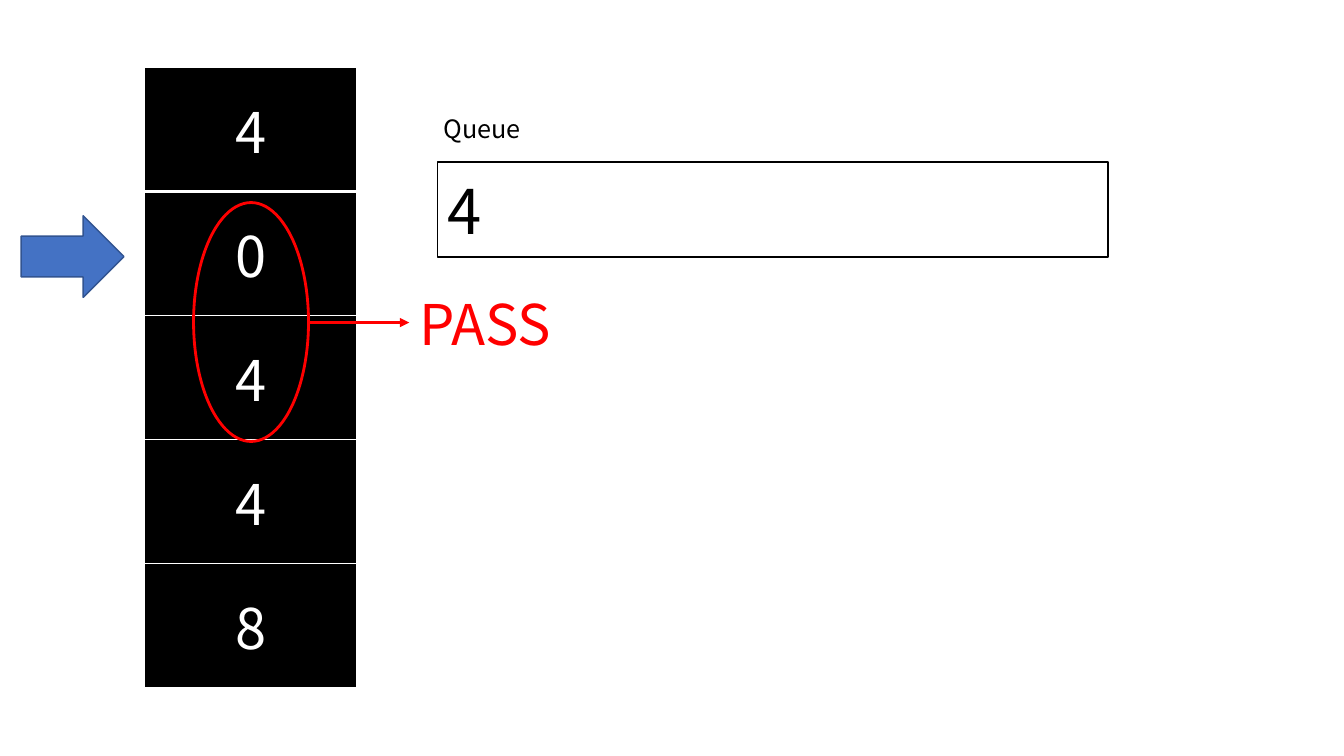
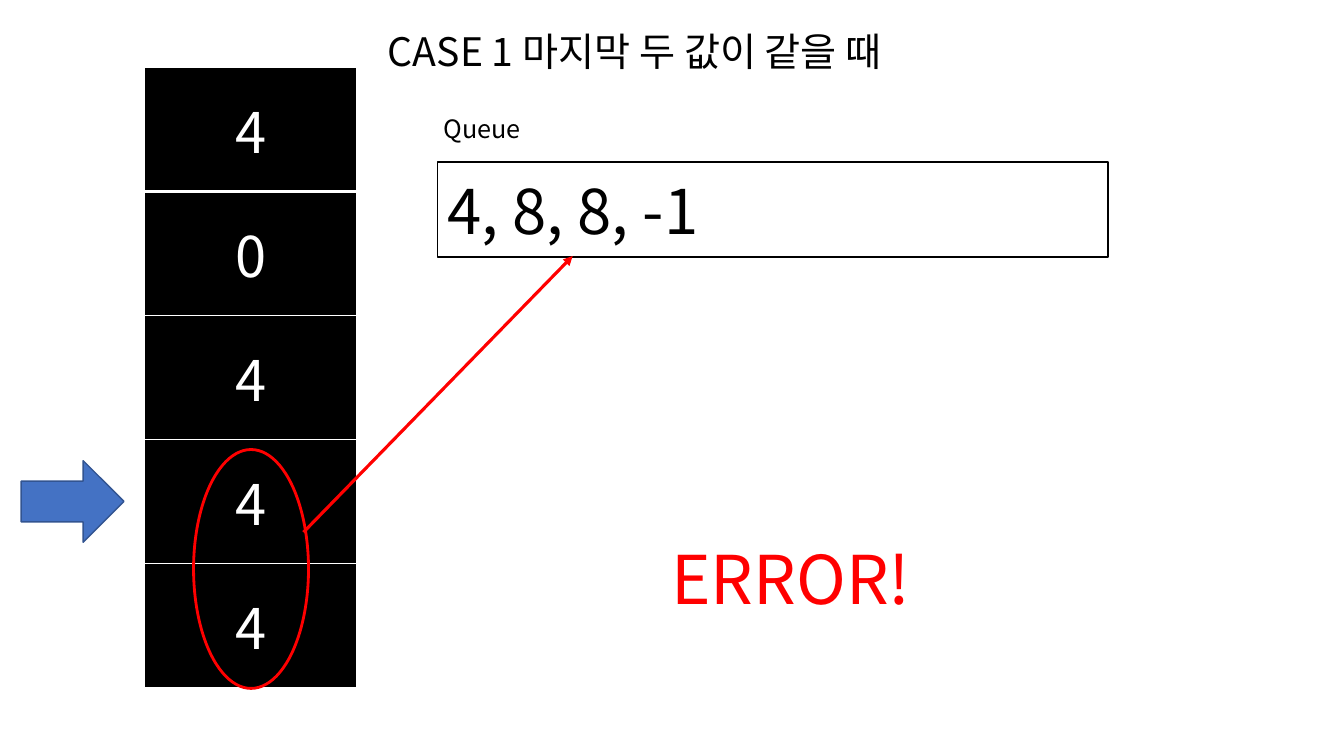
"""Build two slides that trace a column of numbers into a queue."""
from lxml.etree import SubElement
from pptx import Presentation
from pptx.dml.color import RGBColor
from pptx.enum.shapes import MSO_CONNECTOR as Connector, MSO_SHAPE as Preset
from pptx.enum.text import MSO_ANCHOR as Anchor, MSO_AUTO_SIZE as AutoSize, PP_ALIGN as Align
from pptx.oxml.ns import qn
from pptx.util import Emu, Pt

PX = 9144
FONT = "Noto Sans CJK KR"
COLORS = {
    "ink": "000000",
    "paper": "FFFFFF",
    "mark": "FF0000",
    "pointer": "4472C4",
    "pointer_edge": "325491",
}


def px(*lengths):
    return [Emu(length * PX) for length in lengths]


def rgb(color):
    return RGBColor.from_string(COLORS[color])


def write(frame, text, size, color, align=Align.LEFT):
    frame.text = text
    paragraph = frame.paragraphs[0]
    paragraph.alignment = align
    run = paragraph.runs[0]
    run.font.size = Pt(size)
    run.font.name = FONT
    run.font.color.rgb = rgb(color)
    SubElement(run.font._element, qn("a:ea"), typeface=FONT)


def add_label(slide, box, text, size, color="ink"):
    label = slide.shapes.add_textbox(*px(*box))
    label.text_frame.word_wrap = True
    label.text_frame.auto_size = AutoSize.SHAPE_TO_FIT_TEXT
    write(label.text_frame, text, size, color)
    return label


def add_figure(slide, preset, box, edge, weight, fill=None):
    figure = slide.shapes.add_shape(preset, *px(*box))
    figure.shadow.inherit = False
    if fill:
        figure.fill.solid()
        figure.fill.fore_color.rgb = rgb(fill)
    else:
        figure.fill.background()
    figure.line.color.rgb = rgb(edge)
    figure.line.width = Pt(weight)
    return figure


def add_border(cell, side, weight):
    properties = cell._tc.get_or_add_tcPr()
    border = SubElement(properties, qn(f"a:ln{side}"), w=str(Pt(weight)))
    fill = SubElement(border, qn("a:solidFill"))
    SubElement(fill, qn("a:srgbClr"), val=COLORS["paper"])


def add_column(slide, numbers):
    frame = slide.shapes.add_table(len(numbers), 1, *px(143, 67, 211, 123 * len(numbers)))
    table = frame.table
    table.first_row = table.horz_banding = False
    for index, number in enumerate(numbers):
        cell = table.cell(index, 0)
        weights = {"L": 1, "R": 1, "T": 3 if index == 1 else 1, "B": 3 if index == 0 else 1}
        for side, weight in weights.items():
            add_border(cell, side, weight)
        cell.fill.solid()
        cell.fill.fore_color.rgb = rgb("ink")
        cell.vertical_anchor = Anchor.MIDDLE
        write(cell.text_frame, number, 40, "paper", Align.CENTER)


def add_queue(slide, content):
    queue = add_figure(slide, Preset.RECTANGLE, (434, 161, 665, 94), "ink", 1.25)
    queue.text_frame.vertical_anchor = Anchor.MIDDLE
    write(queue.text_frame, content, 44, "ink")
    add_label(slide, (430, 108, 243, 40), "Queue", 18)


def add_arrow(slide, start, end):
    arrow = slide.shapes.add_connector(Connector.STRAIGHT, *px(*start, *end))
    arrow.line.color.rgb = rgb("mark")
    arrow.line.width = Pt(2.25)
    SubElement(arrow.line._get_or_add_ln(), qn("a:tailEnd"), type="triangle")
    SubElement(arrow._element.spPr, qn("a:effectLst"))
    return arrow


def add_step(deck, numbers, content, pointer_top, pair_top):
    slide = deck.slides.add_slide(deck.slide_layouts[6])
    add_column(slide, numbers)
    add_figure(slide, Preset.RIGHT_ARROW, (21, pointer_top, 102, 81), "pointer_edge", 1, "pointer")
    add_queue(slide, content)
    add_figure(slide, Preset.OVAL, (192, pair_top, 114, 237), "mark", 2)
    return slide


def main():
    deck = Presentation()
    deck.slide_width, deck.slide_height = px(1333, 750)

    passing = add_step(deck, "40448", "4", 214, 201)
    verdict = add_label(passing, (406, 282, 486, 76), "PASS", 40, "mark")
    add_arrow(passing, (306, 320), (406, 320)).end_connect(verdict, 1)

    failing = add_step(deck, "40444", "4, 8, 8, -1", 457, 446)
    add_arrow(failing, (301, 528), (568, 254))
    add_label(failing, (375, 22, 584, 57), "CASE 1 마지막 두 값이 같을 때", 28)
    add_label(failing, (656, 528, 382, 91), "ERROR!", 48, "mark")

    deck.save("out.pptx")


if __name__ == "__main__":
    main()
